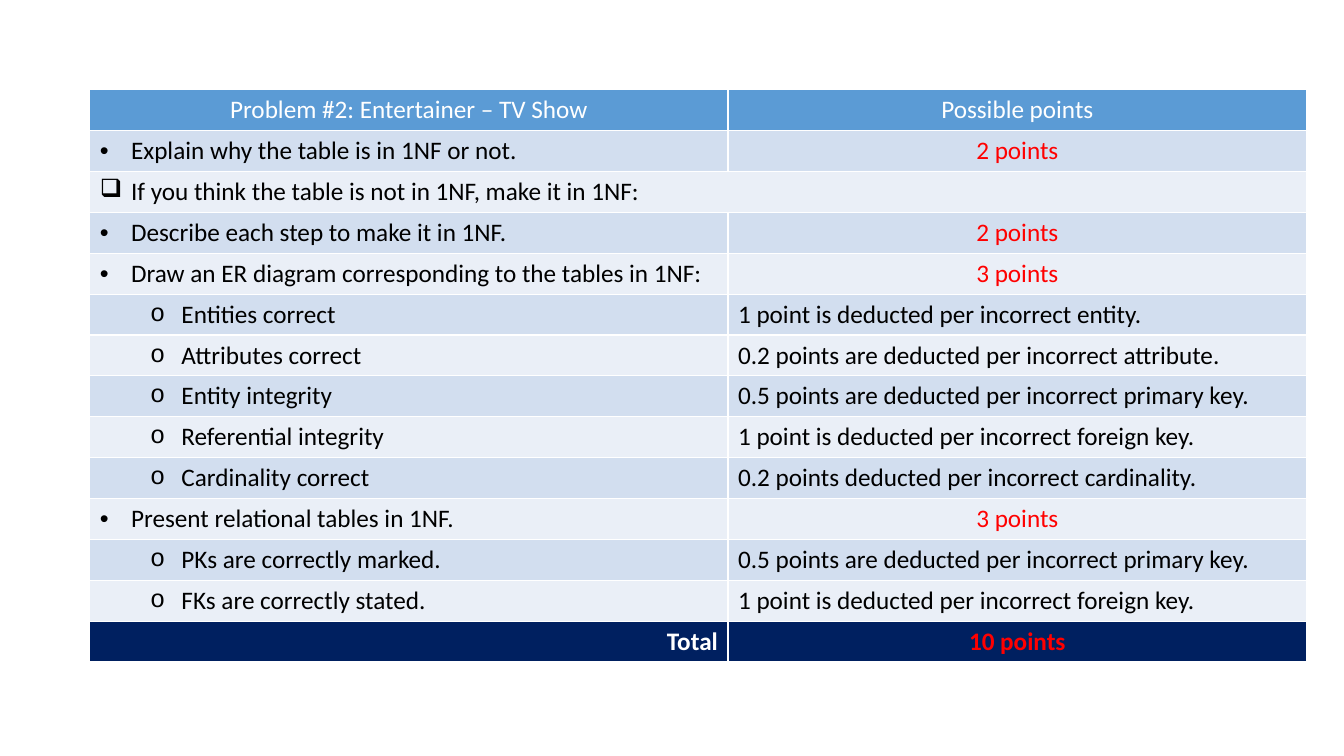
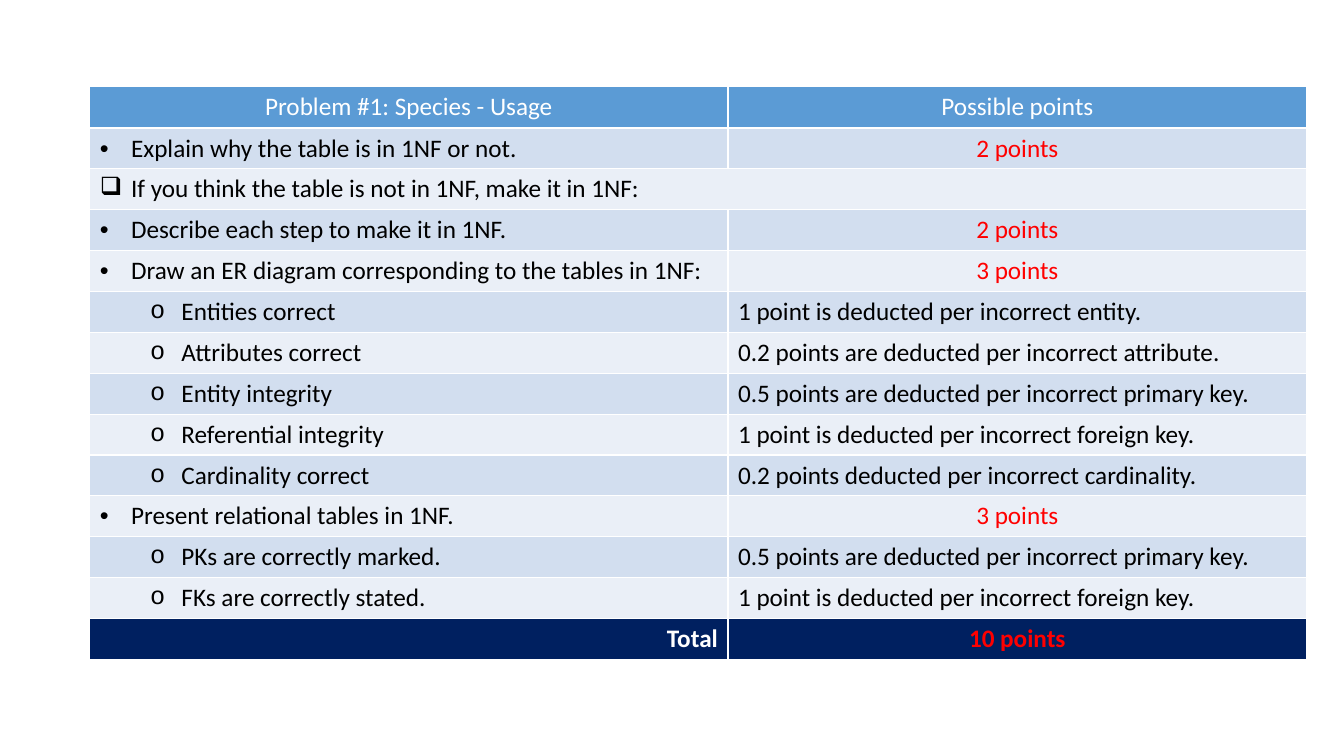
"""Build two grading rubric slides for the 1NF problems."""
from lxml.etree import SubElement
from pptx import Presentation
from pptx.dml.color import RGBColor
from pptx.enum.text import PP_ALIGN as ALIGN
from pptx.oxml.ns import qn
from pptx.util import Inches, Pt

BLACK, WHITE, RED = "000000", "FFFFFF", "FF0000"
HEADER, NAVY = "5B9BD5", "002060"
BANDS = ["D2DEEF", "EAEFF7"]
BULLET_FONTS = {"•": "Arial", "o": "Courier New"}
TEXT_INDENTS = {"•": Inches(0.31), "❑": Inches(0.31), "o": Inches(0.81)}

CRITERIA = [
    ("•", "Explain why the table is in 1NF or not.", "2 points"),
    ("❑", "If you think the table is not in 1NF, make it in 1NF:", None),
    ("•", "Describe each step to make it in 1NF.", "2 points"),
    ("•", "Draw an ER diagram corresponding to the tables in 1NF:", "3 points"),
    ("o", "Entities correct", "1 point is deducted per incorrect entity."),
    ("o", "Attributes correct", "0.2 points are deducted per incorrect attribute."),
    ("o", "Entity integrity", "0.5 points are deducted per incorrect primary key."),
    ("o", "Referential integrity", "1 point is deducted per incorrect foreign key."),
    ("o", "Cardinality correct", "0.2 points deducted per incorrect cardinality."),
    ("•", "Present relational tables in 1NF.", "3 points"),
    ("o", "PKs are correctly marked.", "0.5 points are deducted per incorrect primary key."),
    ("o", "FKs are correctly stated.", "1 point is deducted per incorrect foreign key."),
]
PROBLEMS = [
    ("Problem #2: Entertainer – TV Show", Inches(0.89), Inches(0.38)),
    ("Problem #1: Species - Usage", Inches(0.86), Inches(0.41)),
]


def rgb(hex_color):
    return RGBColor.from_string(hex_color)


def write(cell, text, fill, color=BLACK, align=ALIGN.LEFT, bold=False, bullet=None):
    cell.fill.solid()
    cell.fill.fore_color.rgb = rgb(fill)
    paragraph = cell.text_frame.paragraphs[0]
    paragraph.alignment = align
    run = paragraph.add_run()
    run.text = text
    run.font.name, run.font.size, run.font.bold = "Calibri", Pt(18), bold
    run.font.color.rgb = rgb(color)
    if bullet:
        paragraph.level = 1 if bullet == "o" else 0
        properties = paragraph._p.get_or_add_pPr()
        properties.set("marL", str(TEXT_INDENTS[bullet]))
        properties.set("indent", str(-Inches(0.31)))
        if bullet in BULLET_FONTS:
            SubElement(properties, qn("a:buFont")).set("typeface", BULLET_FONTS[bullet])
        SubElement(properties, qn("a:buChar")).set("char", bullet)


deck = Presentation()
deck.slide_width, deck.slide_height = Inches(13.33), Inches(7.5)

for problem, top, header_height in PROBLEMS:
    slide = deck.slides.add_slide(deck.slide_layouts[6])
    rubric = slide.shapes.add_table(
        len(CRITERIA) + 2, 2, Inches(0.89), top, Inches(12.07), Inches(5.68)
    ).table
    rubric.columns[0].width, rubric.columns[1].width = Inches(6.33), Inches(5.74)
    rubric.rows[0].height = header_height

    write(rubric.cell(0, 0), problem, HEADER, color=WHITE, align=ALIGN.CENTER)
    write(rubric.cell(0, 1), "Possible points", HEADER, color=WHITE, align=ALIGN.CENTER)

    for row, (bullet, criterion, points) in enumerate(CRITERIA, start=1):
        band = BANDS[(row - 1) % 2]
        criterion_cell, points_cell = rubric.cell(row, 0), rubric.cell(row, 1)
        write(criterion_cell, criterion, band, bullet=bullet)
        if points is None:
            criterion_cell.merge(points_cell)
        elif bullet == "o":
            write(points_cell, points, band)
        else:
            write(points_cell, points, band, color=RED, align=ALIGN.CENTER)

    total_row = len(CRITERIA) + 1
    write(rubric.cell(total_row, 0), "Total", NAVY, color=WHITE, align=ALIGN.RIGHT, bold=True)
    write(rubric.cell(total_row, 1), "10 points", NAVY, color=RED, align=ALIGN.CENTER, bold=True)

deck.save("out.pptx")
